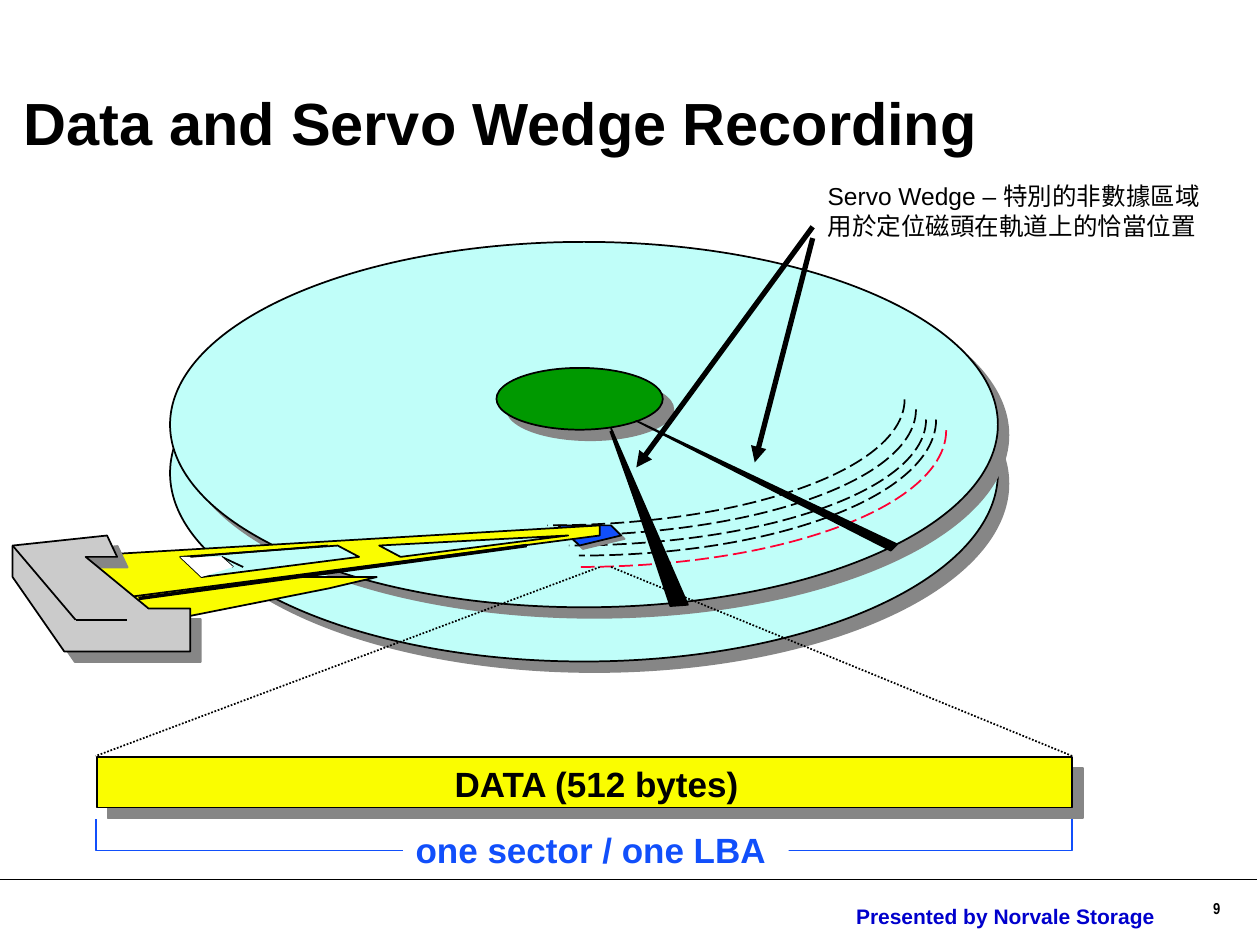
from lxml.etree import SubElement
from pptx import Presentation
from pptx.dml.color import RGBColor
from pptx.enum.dml import MSO_LINE
from pptx.enum.shapes import MSO_CONNECTOR, MSO_SHAPE
from pptx.enum.text import MSO_ANCHOR, MSO_AUTO_SIZE, PP_ALIGN
from pptx.oxml.ns import qn
from pptx.util import Cm, Pt

BLACK, WHITE, GRAY, SHADOW = "000000", "FFFFFF", "CBCBCB", "868686"
AQUA, GREEN, YELLOW, BLUE, RED, NAVY = "C0FEF9", "009900", "FAFD00", "114FFB", "FF0033", "0000CC"

# All places are in inches: (left, top, width, height) or (x, y) points.
PLATTERS = [(1.35, 2.26, 6.57, 2.99), (1.35, 1.92, 6.57, 2.9)]
TRACKS = [
    ((1.51, 2.17, 5.67, 2), BLACK),
    ((1.68, 2.33, 5.83, 2.17), RED),
    ((1.76, 2.25, 5.67, 2.16), BLACK),
    ((1.68, 2.33, 5.67, 2), BLACK),
    ((1.6, 2.25, 5.67, 2), BLACK),
]
SPINDLE = (3.94, 2.92, 1.32, 0.49)
SECTOR = (0.77, 6.01, 7.74, 0.4)
SECTOR_ZOOM = [((4.76, 4.5), (0.76, 6)), ((4.85, 4.5), (8.51, 6))]
BRACKETS = [
    [(3.85, 6.75), (0.76, 6.75), (0.76, 6.5)],
    [(5.43, 6.75), (8.51, 6.75), (8.51, 6.5)],
]
LOWER_ARM = [(1.35, 4.92), (2.61, 4.67), (2.99, 4.58), (1.86, 4.58),
             (1.04, 4.67), (0.85, 4.67), (1.04, 5), (1.41, 4.92)]
HEAD = [(4.43, 4.17), (4.6, 4.33), (4.93, 4.25), (4.85, 4.17)]
UPPER_ARM = [(0.51, 4.42), (4.76, 4.17), (4.76, 4.25), (0.93, 4.75)]
WIDE_OPENING = [(1.43, 4.42), (2.68, 4.33), (2.85, 4.42), (1.6, 4.58)]
OPENING_EDGES = [((1.76, 4.42), (1.85, 4.5)), ((1.76, 4.42), (1.93, 4.5))]
OPENING_GLINT = [(1.43, 4.42), (1.6, 4.58), (1.85, 4.5), (1.76, 4.42)]
NARROW_OPENING = [(3.01, 4.33), (3.18, 4.42), (4.51, 4.25)]
ARM_SIDE = ((1.1, 4.75), (4.18, 4.33))
ARM_TOP = ((1.51, 4.42), (2.6, 4.33))
ACTUATOR = [(0.68, 4.42), (1.18, 4.83), (1.51, 4.83), (1.51, 5.17), (0.51, 5.17),
            (0.1, 4.58), (0.1, 4.33), (0.85, 4.25), (0.93, 4.42)]
ACTUATOR_EDGES = [((0.1, 4.33), (0.6, 4.92)), ((0.6, 4.92), (1.01, 4.92))]
WEDGE_CORE = ((4.85, 3.42), (5.34, 4.79))
WEDGES = [
    [(4.85, 3.4), (5.32, 4.81), (5.46, 4.8)],
    [(5.05, 3.34), (7.12, 4.32), (7.07, 4.37)],
]
WEDGE_ARROWS = [((6.45, 1.8), (5.05, 3.71)), ((6.45, 1.89), (5.99, 3.67))]
FOOTER_RULE = ((0, 6.98), (9.98, 6.98))


def inches(*values):
    return [Cm(value * 2.54) for value in values]


def rgb(color):
    return RGBColor.from_string(color)


def paint(shape, fill=None, line=None, width=1, dash=None, shadow=0):
    """Set fill, outline and a hard diagonal shadow given as a distance in points."""
    if fill:
        shape.fill.solid()
        shape.fill.fore_color.rgb = rgb(fill)
    else:
        shape.fill.background()
    if line:
        shape.line.color.rgb = rgb(line)
        shape.line.width = Pt(width)
        if dash:
            shape.line.dash_style = dash
    else:
        shape.line.fill.background()
    shape.shadow.inherit = False
    if shadow:
        effects = shape._element.spPr.find(qn("a:effectLst"))
        outer = SubElement(effects, qn("a:outerShdw"), dist=str(Pt(shadow)),
                           dir="2700000", algn="ctr", rotWithShape="0")
        SubElement(outer, qn("a:srgbClr"), val=SHADOW)
    return shape


def add_preset(preset, box, **style):
    return paint(slide.shapes.add_shape(preset, *inches(*box)), **style)


def add_outline(points, closed=True, **style):
    start, *others = [inches(*point) for point in points]
    builder = slide.shapes.build_freeform(*start)
    builder.add_line_segments(others, close=closed)
    return paint(builder.convert_to_shape(), **style)


def add_line(start, end, width=1, dash=None, arrow=False):
    connector = slide.shapes.add_connector(MSO_CONNECTOR.STRAIGHT, *inches(*start, *end))
    connector.line.color.rgb = rgb(BLACK)
    connector.line.width = Pt(width)
    if dash:
        connector.line.dash_style = dash
    properties = connector._element.spPr
    if arrow:
        SubElement(properties.find(qn("a:ln")), qn("a:tailEnd"), type="triangle")
    SubElement(properties, qn("a:effectLst"))


def write(shape, text, size, color=BLACK, bold=False, font="Arial", align=PP_ALIGN.LEFT,
          anchor=MSO_ANCHOR.TOP, wrap=True, before=0, spacing=1.0):
    frame = shape.text_frame
    frame.auto_size = MSO_AUTO_SIZE.NONE
    frame.word_wrap = wrap
    frame.vertical_anchor = anchor
    frame.text = text
    for paragraph in frame.paragraphs:
        paragraph.alignment = align
        paragraph.space_before = Pt(before)
        paragraph.line_spacing = spacing
        paragraph.font.name = font
        paragraph.font.size = Pt(size)
        paragraph.font.bold = bold
        paragraph.font.color.rgb = rgb(color)


def add_text(box, text, size, **text_format):
    write(slide.shapes.add_textbox(*inches(*box)), text, size, **text_format)


presentation = Presentation()
presentation.slide_width, presentation.slide_height = inches(10, 7.5)
slide = presentation.slides.add_slide(presentation.slide_layouts[5])

title = slide.shapes.title
title.left, title.top, title.width, title.height = inches(0.09, 0.68, 9.82, 0.66)
write(title, "Data and Servo Wedge Recording", 34, bold=True,
      anchor=MSO_ANCHOR.MIDDLE, spacing=0.85)

add_line(*FOOTER_RULE)
add_text((6.16, 7.12, 3.64, 0.3), "Presented by Norvale Storage", 12, color=NAVY, bold=True,
         align=PP_ALIGN.CENTER, before=7.5)
add_text((9.53, 7.08, 0.47, 0.28), "9", 9, bold=True, font="Arial Narrow")

# Disk
for box in PLATTERS:
    add_preset(MSO_SHAPE.OVAL, box, fill=AQUA, line=BLACK, shadow=8.5)
for box, color in TRACKS:
    track = add_preset(MSO_SHAPE.ARC, box, line=color, dash=MSO_LINE.LONG_DASH)
    track.adjustments[0] = 0
    track.adjustments[1] = 54  # 90 degrees, in units of 100000/60000 degree
label = add_preset(MSO_SHAPE.RECTANGLE, (6.47, 1.39, 3.21, 0.57), fill=WHITE)
write(label, "Servo Wedge – 特別的非數據區域\n用於定位磁頭在軌道上的恰當位置", 14, wrap=False)
add_preset(MSO_SHAPE.OVAL, SPINDLE, fill=GREEN, line=BLACK, shadow=8.5)

# Sector
for ends in SECTOR_ZOOM:
    add_line(*ends, dash=MSO_LINE.ROUND_DOT)
add_preset(MSO_SHAPE.RECTANGLE, SECTOR, fill=YELLOW, line=BLACK, shadow=8.5)
add_text((3.51, 6, 2.5, 0.44), "DATA (512 bytes)", 20, bold=True)
for points in BRACKETS:
    add_outline(points, closed=False, line=BLUE)

# Arm and head
add_outline(LOWER_ARM, fill=YELLOW, line=BLACK)
add_outline(HEAD, fill=BLUE, line=BLACK, shadow=2.8)
add_outline(UPPER_ARM, fill=YELLOW, line=BLACK)
add_outline(WIDE_OPENING, fill=AQUA, line=BLACK)
for ends in OPENING_EDGES:
    add_line(*ends)
add_outline(OPENING_GLINT, fill=WHITE)
add_outline(NARROW_OPENING, fill=AQUA, line=BLACK)
add_line(*ARM_SIDE, width=2)
add_line(*ARM_TOP)
add_outline(ACTUATOR, fill=GRAY, line=BLACK, shadow=8.5)
for ends in ACTUATOR_EDGES:
    add_line(*ends)

# Servo wedges
add_line(*WEDGE_CORE, width=2)
for points in WEDGES:
    add_outline(points, fill=BLACK, line=BLACK)
caption = add_preset(MSO_SHAPE.RECTANGLE, (3.2, 6.53, 3.06, 0.43), fill=WHITE)
write(caption, "one sector / one LBA", 20, color=BLUE, bold=True)
for ends in WEDGE_ARROWS:
    add_line(*ends, width=3, arrow=True)

presentation.save("out.pptx")
